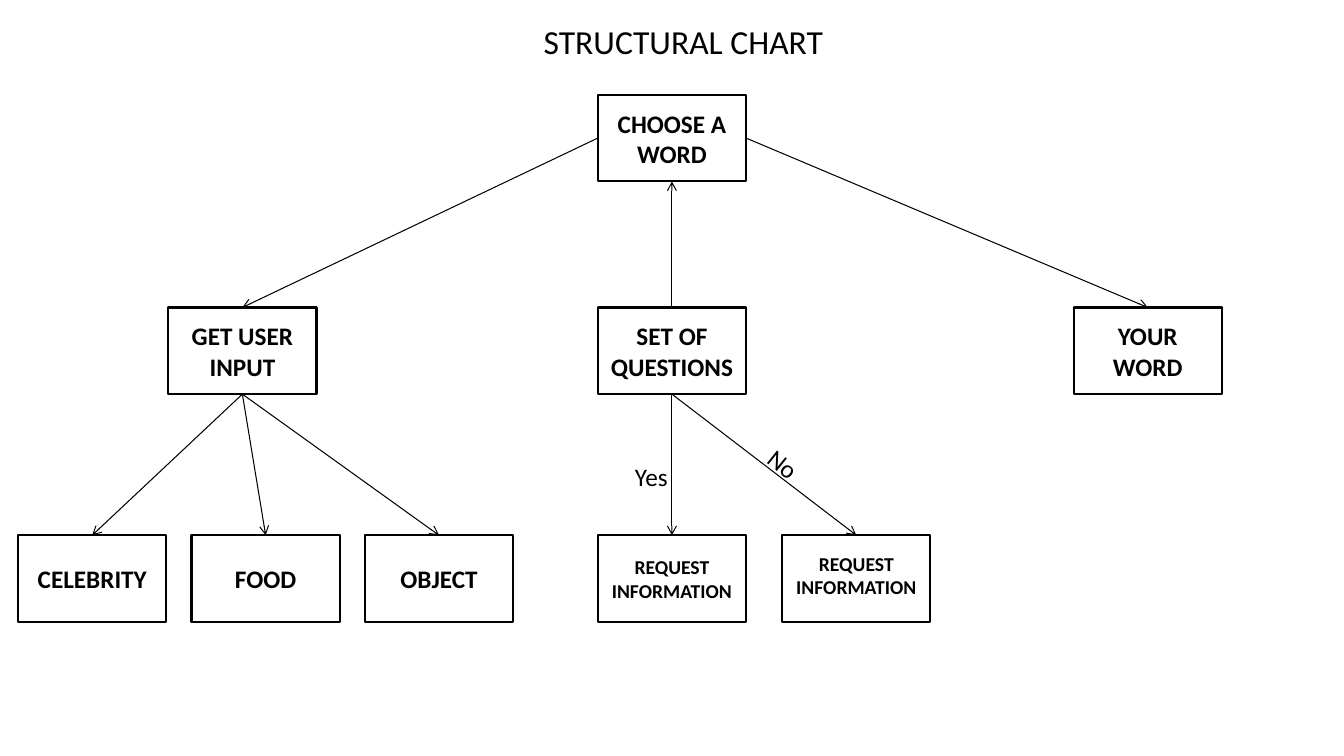
from lxml import etree
from pptx import Presentation
from pptx.dml.color import RGBColor
from pptx.enum.shapes import MSO_CONNECTOR, MSO_SHAPE
from pptx.enum.text import MSO_ANCHOR, PP_ALIGN
from pptx.oxml.ns import qn
from pptx.util import Inches, Pt

BLACK = RGBColor(0x00, 0x00, 0x00)
WHITE = RGBColor(0xFF, 0xFF, 0xFF)
RECTANGLE = MSO_SHAPE.RECTANGLE
STRAIGHT, ELBOW = MSO_CONNECTOR.STRAIGHT, MSO_CONNECTOR.ELBOW
CENTER, LEFT = PP_ALIGN.CENTER, PP_ALIGN.LEFT
MIDDLE, TOP = MSO_ANCHOR.MIDDLE, MSO_ANCHOR.TOP
TOP_SITE, LEFT_SITE, BOTTOM_SITE, RIGHT_SITE = range(4)
TITLE_ONLY = 5
QUARTER_TURN = 90 * 60000

# Lengths are percentages of the slide's width or height
BOX_WIDTH, BOX_HEIGHT = 11.03, 11.47
ROOT_ROW, STEP_ROW, DETAIL_ROW = 12.53, 40.67, 70.8
INPUT_COLUMN, QUESTION_COLUMN, WORD_COLUMN = 12.52, 44.48, 79.88
FIRST_CHOICE, CHOICE_STEP = 1.35, 12.9
NO_COLUMN = 58.2


class Chart:
    font = "Calibri"

    def __init__(self, deck):
        self.deck = deck
        self.page = deck.slides.add_slide(deck.slide_layouts[TITLE_ONLY])

    def area(self, left, top, width, height):
        across, down = self.deck.slide_width / 100, self.deck.slide_height / 100
        return [round(length) for length in
                (left * across, top * down, width * across, height * down)]

    def set_text(self, shape, text, size, bold=False, align=CENTER, anchor=MIDDLE):
        frame = shape.text_frame
        frame.word_wrap = True
        frame.vertical_anchor = anchor
        para = frame.paragraphs[0]
        para.alignment = align
        span = para.add_run()
        span.text = text
        span.font.color.rgb = BLACK
        formats = {"name": self.font, "size": Pt(size), "bold": bold}
        for name, value in formats.items():
            setattr(span.font, name, value)

    def title(self, text, *place):
        title = self.page.shapes.title
        names = ("left", "top", "width", "height")
        for name, value in zip(names, self.area(*place)):
            setattr(title, name, value)
        self.set_text(title, text, 24)

    def box(self, text, left, top, size=18):
        box = self.page.shapes.add_shape(
            RECTANGLE, *self.area(left, top, BOX_WIDTH, BOX_HEIGHT))
        box.shadow.inherit = False
        box.fill.solid()
        box.fill.fore_color.rgb = WHITE
        box.line.color.rgb = BLACK
        box.line.width = Pt(1.5)
        self.set_text(box, text, size, bold=True)
        return box

    def label(self, text, *place, rotation=0):
        label = self.page.shapes.add_textbox(*self.area(*place))
        label.rotation = rotation
        self.set_text(label, text, 18, align=LEFT, anchor=TOP)

    def arrow(self, source, site, target, kind=STRAIGHT):
        arrow = self.page.shapes.add_connector(kind, 0, 0, 0, 0)
        arrow.begin_connect(source, site)
        arrow.end_connect(target, TOP_SITE)
        arrow.line.color.rgb = BLACK
        arrow.line.width = Pt(0.75)
        properties = arrow.element.spPr
        line = properties.find(qn("a:ln"))
        etree.SubElement(line, qn("a:tailEnd")).set("type", "arrow")
        etree.SubElement(properties, qn("a:effectLst"))
        return arrow

    def elbow_down(self, source, target):
        arrow = self.arrow(source, BOTTOM_SITE, target, ELBOW)
        start, end = arrow.begin_y, arrow.end_y
        length = end - start
        # A vertical elbow is a horizontal one turned about its centre
        turned = {"left": arrow.begin_x - length // 2, "top": (start + end) // 2,
                  "width": length, "height": 0}
        for name, value in turned.items():
            setattr(arrow, name, value)
        arrow.element.spPr.find(qn("a:xfrm")).set("rot", str(QUARTER_TURN))


deck = Presentation()
deck.slide_width, deck.slide_height = Inches(13.33), Inches(7.5)
chart = Chart(deck)
chart.title("STRUCTURAL CHART", 26.55, 2.13, 48.6, 6.67)

# Main steps
choose = chart.box("CHOOSE A WORD", QUESTION_COLUMN, ROOT_ROW)
user_input = chart.box("GET USER INPUT", INPUT_COLUMN, STEP_ROW)
questions = chart.box("SET OF QUESTIONS", QUESTION_COLUMN, STEP_ROW)
your_word = chart.box("YOUR WORD", WORD_COLUMN, STEP_ROW)
chart.arrow(choose, LEFT_SITE, user_input)
chart.elbow_down(choose, questions)
chart.arrow(choose, RIGHT_SITE, your_word)

# Kinds of user input
for index, choice in enumerate(("CELEBRITY", "FOOD", "OBJECT")):
    box = chart.box(choice, FIRST_CHOICE + index * CHOICE_STEP, DETAIL_ROW)
    chart.arrow(user_input, BOTTOM_SITE, box)

# Answers to the questions; the second text sits slightly higher
for column, bottom_margin in ((QUESTION_COLUMN, 0.05), (NO_COLUMN, 0.12)):
    box = chart.box("REQUEST INFORMATION", column, DETAIL_ROW, size=14)
    box.text_frame.margin_bottom = Inches(bottom_margin)
    chart.arrow(questions, BOTTOM_SITE, box)
chart.label("Yes", 46.5, 60.4, 5.25, 5.33)
chart.label("No", 56.33, 59.33, 4.73, 5.33, rotation=38.6)

deck.save("out.pptx")
